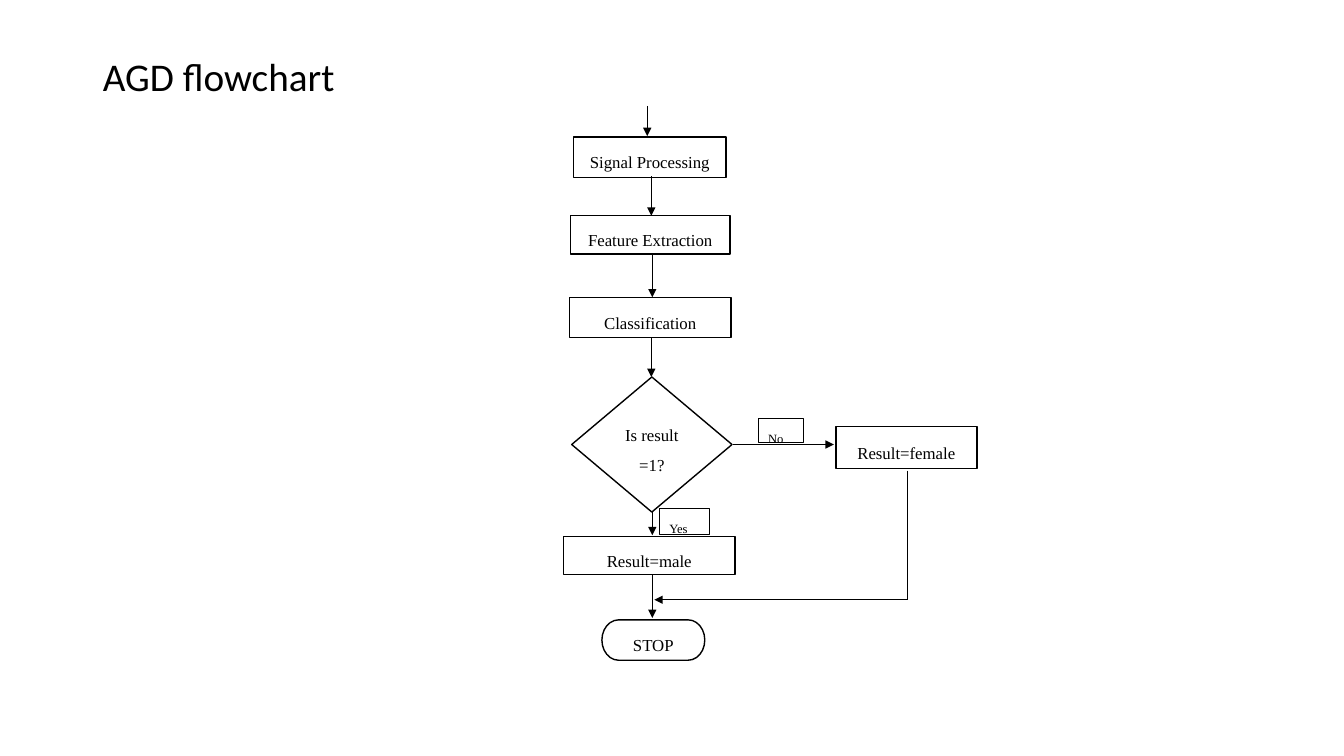
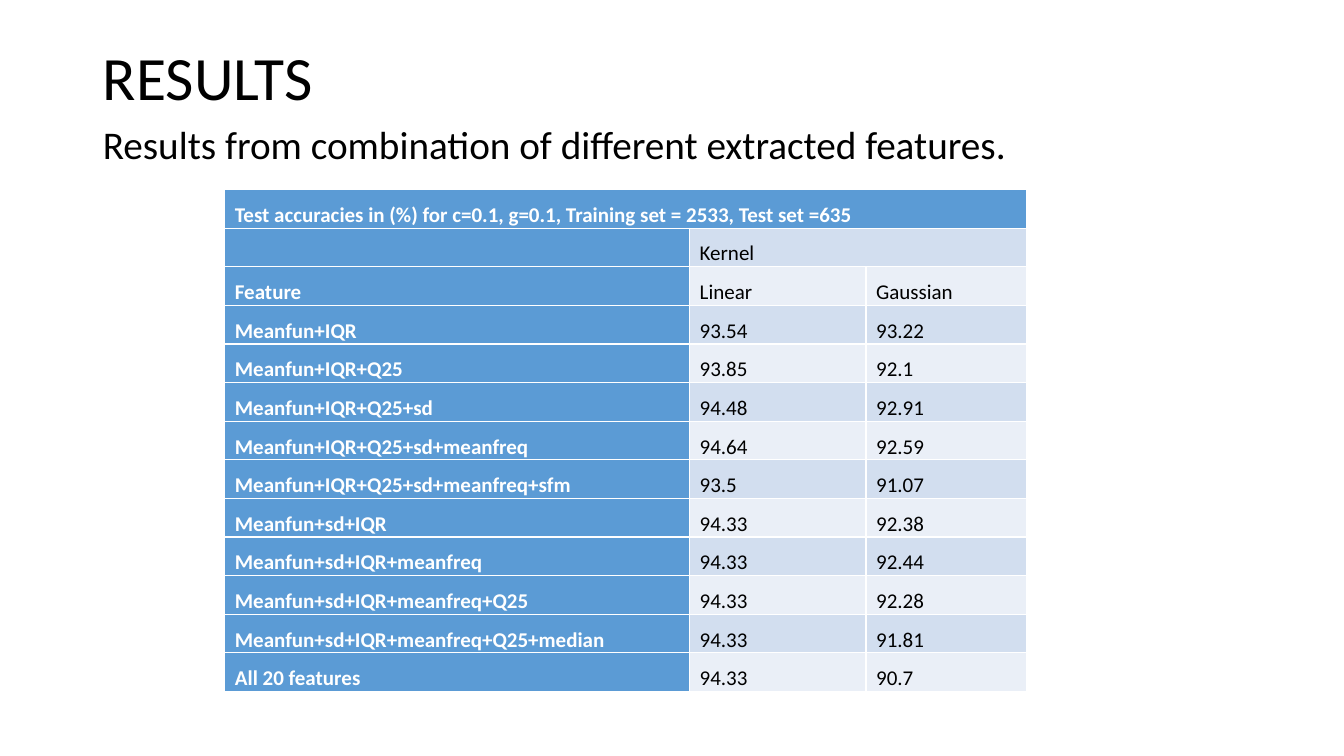
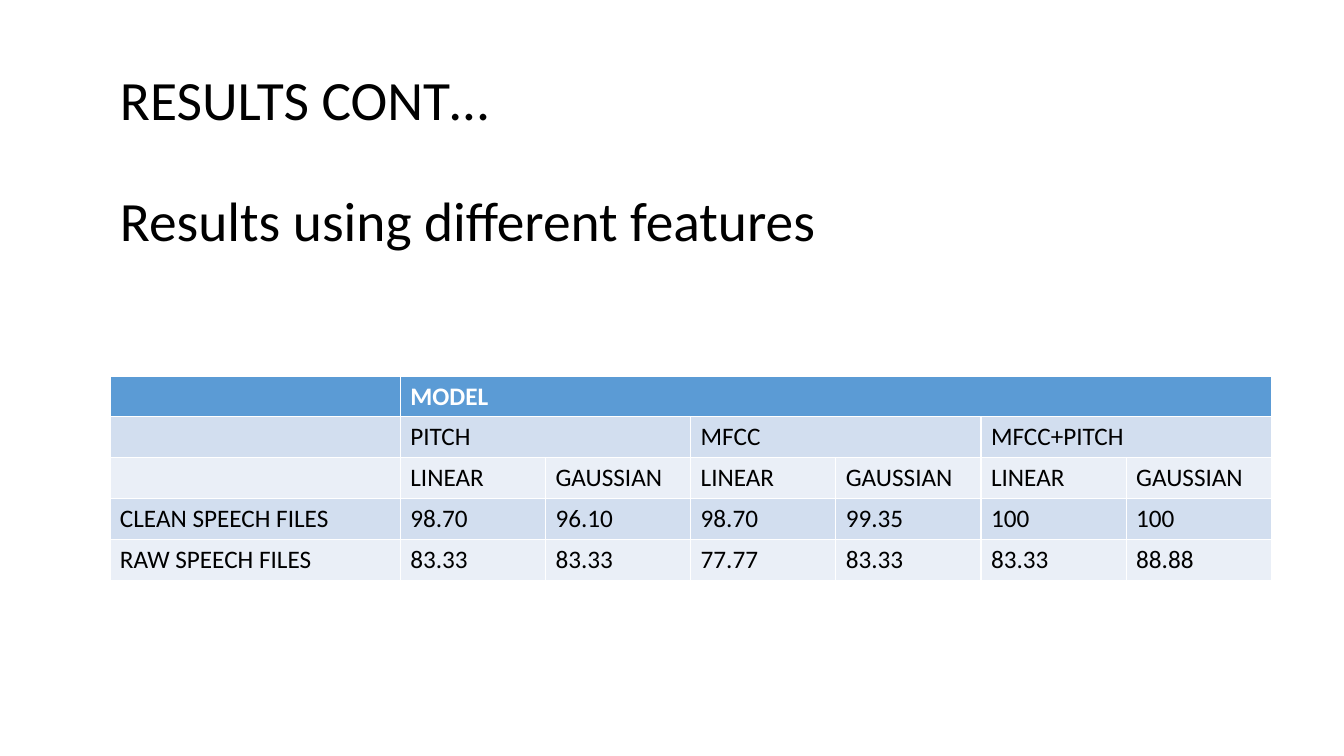
from dataclasses import dataclass
from pptx import Presentation
from pptx.dml.color import RGBColor as RGB
from pptx.enum.shapes import MSO_CONNECTOR as LINK, MSO_SHAPE as SHAPE
from pptx.enum.text import MSO_ANCHOR as ANCHOR, MSO_AUTO_SIZE as FIT, PP_ALIGN as ALIGN
from pptx.oxml.ns import qn
from pptx.oxml.xmlchemy import OxmlElement as Node
from pptx.util import Inches, Pt


@dataclass(frozen=True)
class Theme:
    """Colours, fonts and type sizes of the deck."""
    ink: RGB = RGB(0, 0, 0)
    paper: RGB = RGB(255, 255, 255)
    head: RGB = RGB(0x5B, 0x9B, 0xD5)
    bands: tuple = (RGB(0xEA, 0xEF, 0xF7), RGB(0xD2, 0xDE, 0xEF))
    sans: str = "Calibri"
    serif: str = "Times New Roman"
    title: float = 44
    cont: float = 39.6
    body: float = 28
    cell: float = 18
    dense: float = 15
    step: float = 12
    label: float = 9


THEME = Theme()
PLAIN = {"line_spacing": 0.9, "space_before": Pt(0), "alignment": ALIGN.LEFT}
LEAD = {**PLAIN, "space_before": Pt(10)}
GAP = {**PLAIN, "space_before": Pt(43.5)}
STEP = {"line_spacing": 1.5, "space_after": Pt(6), "alignment": ALIGN.CENTER}
LABEL = {**STEP, "alignment": ALIGN.LEFT}
TIGHT = {"line_spacing": 1.5, "alignment": ALIGN.JUSTIFY}


def apply(item, values):
    """Set each attribute of item from a dict."""
    for name, value in values.items():
        setattr(item, name, value)


def write(par, text, size, form, face=THEME.sans, color=THEME.ink, bold=False):
    """Fill a paragraph with one formatted run."""
    run = par.add_run()
    run.text = text
    apply(par, form)
    apply(run.font, {"name": face, "size": Pt(size), "bold": bold})
    run.font.color.rgb = color


def place(item, box):
    """Move and size an item to a box in inches."""
    names = ("left", "top", "width", "height")
    apply(item, dict(zip(names, map(Inches, box))))


def fill(holder, box, lines, size, anchor):
    """Place a title or body placeholder and write its lines."""
    place(holder, box)
    frame = holder.text_frame
    apply(frame, {"auto_size": FIT.NONE, "word_wrap": True, "vertical_anchor": anchor})
    for num, (text, form) in enumerate(lines):
        par = frame.add_paragraph() if num else frame.paragraphs[0]
        write(par, text, size, form)
        props = par._p.get_or_add_pPr()
        props.set("marL", "0")
        props.set("indent", "0")
        props.append(Node("a:buNone"))


def block(slide, kind, box, text, size, form, width, anchor):
    """Draw one outlined shape with text."""
    shape = slide.shapes.add_shape(kind, *map(Inches, box))
    shape.shadow.inherit = False
    shape.fill.solid()
    shape.fill.fore_color.rgb = THEME.paper
    shape.line.color.rgb = THEME.ink
    shape.line.width = Pt(width)
    apply(shape.text_frame, {"word_wrap": True, "vertical_anchor": anchor})
    write(shape.text_frame.paragraphs[0], text, size, form, THEME.serif)


def link(slide, ends, arrow=True):
    """Draw a thin line, with an arrowhead at its end if asked."""
    line = slide.shapes.add_connector(LINK.STRAIGHT, *map(Inches, ends))
    line.line.color.rgb = THEME.ink
    line.line.width = Pt(0.5)
    if arrow:
        tip = Node("a:tailEnd")
        tip.set("type", "triangle")
        line.line._get_or_add_ln().append(tip)
    line._element.find(qn("p:spPr")).append(Node("a:effectLst"))


def flow(slide, box):
    """Draw the flowchart inside the box."""
    left, top = box[:2]
    task = SHAPE.FLOWCHART_PROCESS
    steps = (
        ("Signal Processing", task, 0.1, 0.31, 1.51, 0.4),
        ("Feature Extraction", task, 0.07, 1.09, 1.58, 0.38),
        ("Classification", task, 0.06, 1.9, 1.6, 0.4),
        ("Is result =1?", SHAPE.FLOWCHART_DECISION, 0.08, 2.69, 1.59, 1.34),
        ("Result=male", task, 0, 4.27, 1.7, 0.38),
        ("Result=female", task, 2.7, 3.18, 1.4, 0.42),
        ("STOP", SHAPE.FLOWCHART_TERMINATOR, 0.38, 5.1, 1.02, 0.4),
    )
    for text, kind, x, y, wide, high in steps:
        block(slide, kind, (left + x, top + y, wide, high), text,
              THEME.step, STEP, 1, ANCHOR.MIDDLE)
    downs = ((0.83, 0, 0.3), (0.87, 0.7, 1.09), (0.88, 1.47, 1.9),
             (0.87, 2.3, 2.69), (0.88, 4.03, 4.26), (0.88, 4.65, 5.08))
    for x, start, end in downs:
        link(slide, (left + x, top + start, left + x, top + end))
    link(slide, (left + 1.68, top + 3.36, left + 2.68, top + 3.36))
    link(slide, (left + 3.41, top + 3.62, left + 3.41, top + 4.9), False)
    link(slide, (left + 3.41, top + 4.9, left + 0.9, top + 4.9))
    labels = (("Yes", 0.95, 3.99, 0.5, 0.26), ("No", 1.93, 3.1, 0.45, 0.24))
    for text, x, y, wide, high in labels:
        block(slide, SHAPE.RECTANGLE, (left + x, top + y, wide, high), text,
              THEME.label, LABEL, 0.5, ANCHOR.TOP)


def grid(slide, box, cols, rows, size, form, side=False, inset=0.05):
    """Draw a banded table, where None extends the cell to its left."""
    frame = slide.shapes.add_table(len(rows), len(cols), *map(Inches, box))
    table = frame.table
    table.first_col = side
    for col, wide in zip(table.columns, cols):
        col.width = Inches(wide)
    for r, row in enumerate(rows):
        table.rows[r].height = Inches(box[3] / len(rows))
        for c, text in enumerate(row):
            cell = table.cell(r, c)
            head = r == 0 or (side and c == 0)
            apply(cell, {"margin_top": Inches(inset), "margin_bottom": Inches(inset)})
            cell.fill.solid()
            cell.fill.fore_color.rgb = THEME.head if head else THEME.bands[r % 2]
            if text:
                write(cell.text_frame.paragraphs[0], text, size, form,
                      color=THEME.paper if head else THEME.ink, bold=head)
        starts = [c for c, text in enumerate(row) if text is not None]
        for start, end in zip(starts, starts[1:] + [len(row)]):
            if end - start > 1:
                table.cell(r, start).merge(table.cell(r, end - 1))


def chart(deck):
    """Build the flowchart slide."""
    slide = deck.slides.add_slide(deck.slide_layouts[1])
    title = slide.shapes.title._element
    title.getparent().remove(title)
    fill(slide.placeholders[1], (0.92, 0.52, 11.5, 6.45),
         [("AGD flowchart", LEAD)], THEME.body, ANCHOR.TOP)
    flow(slide, (5.59, 1.05, 4.1, 5.5))


def scores(deck):
    """Build the slide of feature combinations."""
    slide = deck.slides.add_slide(deck.slide_layouts[1])
    fill(slide.shapes.title, (0.92, 0.4, 11.5, 0.8),
         [("RESULTS", PLAIN)], THEME.title, ANCHOR.MIDDLE)
    fill(slide.placeholders[1], (0.92, 1.2, 11.5, 5.56),
         [("Results from combination of different extracted features.", LEAD)],
         THEME.body, ANCHOR.TOP)
    rows = (
        ("Test accuracies in (%) for c=0.1, g=0.1, Training set = 2533, Test set =635",
         None, None),
        ("", "Kernel", None),
        ("Feature", "Linear", "Gaussian"),
        ("Meanfun+IQR", "93.54", "93.22"),
        ("Meanfun+IQR+Q25", "93.85", "92.1"),
        ("Meanfun+IQR+Q25+sd", "94.48", "92.91"),
        ("Meanfun+IQR+Q25+sd+meanfreq", "94.64", "92.59"),
        ("Meanfun+IQR+Q25+sd+meanfreq+sfm", "93.5", "91.07"),
        ("Meanfun+sd+IQR", "94.33", "92.38"),
        ("Meanfun+sd+IQR+meanfreq", "94.33", "92.44"),
        ("Meanfun+sd+IQR+meanfreq+Q25", "94.33", "92.28"),
        ("Meanfun+sd+IQR+meanfreq+Q25+median", "94.33", "91.81"),
        ("All 20 features", "94.33", "90.7"),
    )
    grid(slide, (2.23, 1.88, 7.95, 4.42), (4.61, 1.75, 1.59), rows,
         THEME.dense, TIGHT, True, 0)


def models(deck):
    """Build the slide that compares models."""
    slide = deck.slides.add_slide(deck.slide_layouts[5])
    fill(slide.shapes.title, (1.09, 0.67, 11.5, 2.05),
         [("RESULTS CONT…", PLAIN), ("Results using different features", GAP)],
         THEME.cont, ANCHOR.TOP)
    rows = (
        ("", "MODEL") + (None,) * 5,
        ("", "PITCH", None, "MFCC", None, "MFCC+PITCH", None),
        ("",) + ("LINEAR", "GAUSSIAN") * 3,
        ("CLEAN SPEECH FILES", "98.70", "96.10", "98.70", "99.35", "100", "100"),
        ("RAW SPEECH FILES", "83.33", "83.33", "77.77", "83.33", "83.33", "88.88"),
    )
    grid(slide, (1.09, 3.73, 11.5, 2.03), (2.88,) + (1.44,) * 6, rows,
         THEME.cell, {"alignment": ALIGN.LEFT})


def main():
    """Build and save the deck."""
    deck = Presentation()
    apply(deck, {"slide_width": Inches(13.33), "slide_height": Inches(7.5)})
    for build in (chart, scores, models):
        build(deck)
    deck.save("out.pptx")


main()
